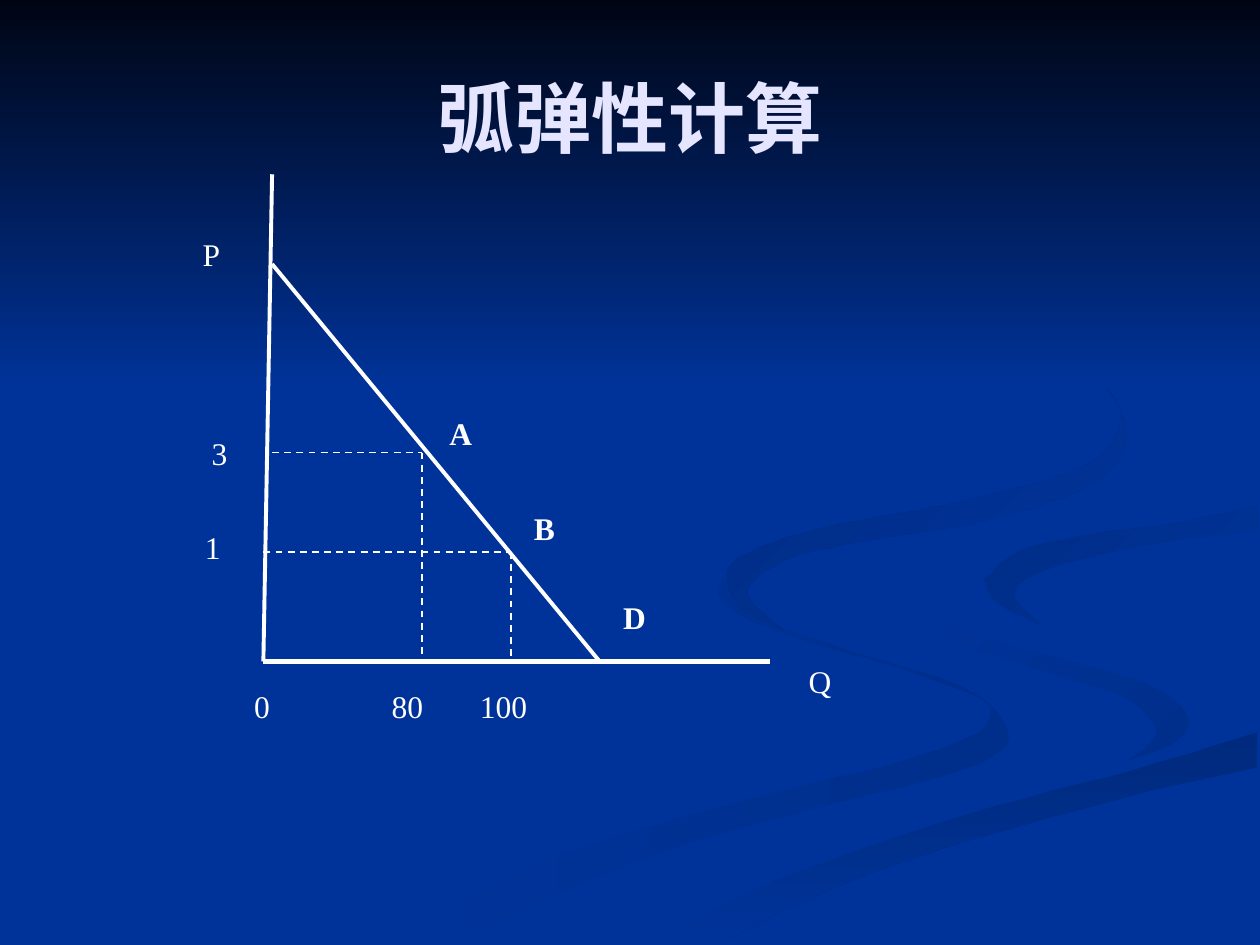
from itertools import pairwise
from lxml.etree import SubElement
from pptx import Presentation
from pptx.dml.color import RGBColor
from pptx.enum.dml import MSO_LINE as Dash
from pptx.enum.shapes import MSO_CONNECTOR as Conn, MSO_SHAPE as Kind
from pptx.enum.text import MSO_ANCHOR as Anchor, MSO_AUTO_SIZE as Fit, PP_ALIGN as Align
from pptx.oxml.ns import qn
from pptx.util import Pt

WIDE, HIGH = 720, 540
FONT = "Times New Roman"
BLUE, WHITE, LILAC, NIGHT = "003399", "FFFFFF", "E5E5FF", "000514"
GRID = 0.72
STEPS = 6

CREST = [(724, 464), (733, 483), (792, 509), (870, 530), (919, 547), (943, 570)]
BANK = [(998, 581), (903, 610), (765, 647), (630, 693), (543, 733), (503, 749)]
SHORE = [(998, 402), (933, 415), (865, 424), (810, 437), (781, 460)]

BROOK = [
    [(575, 459), (570, 472), (593, 491), (654, 513), (714, 530), (776, 553), (786, 566),
     (774, 583), (714, 605), (616, 629), (499, 661), (417, 690), (300, 749)],
    [(361, 749), (431, 714), (532, 674), (651, 640), (740, 618), (786, 601), (800, 581),
     (767, 547), (682, 519), (614, 496), (583, 477), (575, 459)],
]
BEND = [
    CREST + [(932, 589), (894, 605)],
    [(894, 605), (918, 581), (892, 553), (838, 536), (766, 512), (733, 488), (724, 464)],
]
ROAD = [BANK, [(571, 749), (649, 710), (752, 672), (903, 630), (998, 609)]]
FIELD = [
    CREST + [(926, 593), (813, 625), (663, 668), (573, 703), (477, 749)],
    BANK[::-1],
    [(998, 538), (866, 509), (804, 485), (781, 460)],
    SHORE[::-1],
    [(998, 387), (874, 408), (755, 432), (724, 464)],
]
COVE = [
    SHORE,
    [(781, 460), (791, 478), (826, 496)],
    [(826, 496), (805, 472), (828, 453), (896, 435), (998, 420)],
]
TRAIL = [
    [(762, 233), (826, 266), (876, 306), (889, 335), (861, 370), (763, 398), (649, 420),
     (589, 441), (577, 462), (590, 484), (622, 500)],
    [(622, 500), (593, 470), (624, 444), (683, 430), (786, 412), (867, 384), (894, 344),
     (864, 291), (799, 250), (762, 233)],
]


def tint(code):
    """Turn a hex string into a colour."""
    return RGBColor.from_string(code)


def blend(a, b, c, d, t):
    """Give the Catmull-Rom value between b and c at t."""
    return b + t * (c - a + t * (2 * a - 5 * b + 4 * c - d + t * (3 * (b - c) + d - a))) / 2


def smooth(knots):
    """Run a curve through the knots of one edge."""
    ends = [knots[0], *knots, knots[-1]]
    curve = [
        tuple(blend(*axis, step / STEPS) for axis in zip(*ends[i:i + 4]))
        for i in range(len(knots) - 1)
        for step in range(STEPS)
    ]
    return curve + [knots[-1]]


def paint(shape, first, last, angle):
    """Fill a shape plainly or with a gradient turned clockwise."""
    shape.shadow.inherit = False
    shape.line.fill.background()
    fill = shape.fill
    if first == last:
        fill.solid()
        fill.fore_color.rgb = tint(first)
        return
    fill.gradient()
    fill.gradient_angle = (360 - angle) % 360
    for spot, (stop, code) in enumerate(zip(fill.gradient_stops, (first, last))):
        stop.color.rgb = tint(code)
        stop.position = spot


def add_ribbon(slide, edges, first, last, angle=45):
    """Join smooth edges into one closed ribbon."""
    dots = [dot for edge in edges for dot in smooth(edge)]
    pen = slide.shapes.build_freeform(*dots[0], scale=Pt(GRID))
    pen.add_line_segments(dots[1:], close=True)
    paint(pen.convert_to_shape(), first, last, angle)


def add_decor(slide):
    """Draw the ribbons and the dark sky above them."""
    add_ribbon(slide, BROOK, BLUE, "002E8B", 0)
    add_ribbon(slide, BEND, BLUE, "002E8B")
    add_ribbon(slide, ROAD, "002A7D", BLUE, 90)
    add_ribbon(slide, FIELD, BLUE, BLUE)
    add_ribbon(slide, COVE, "002D86", BLUE)
    add_ribbon(slide, TRAIL, "002B82", BLUE)
    sky = slide.shapes.add_shape(Kind.RECTANGLE, 0, 0, Pt(WIDE), Pt(221.8))
    paint(sky, NIGHT, BLUE, 90)


def add_run(para, text, size, code, bold):
    """Add one formatted run to a paragraph."""
    run = para.add_run()
    run.text = text
    font = run.font
    font.name, font.size, font.bold = FONT, Pt(size), bold
    font.color.rgb = tint(code)


def set_title(slide, text):
    """Place the title in front of the sky and fill it."""
    title = slide.shapes.title
    slide.shapes.element.append(title.element)
    title.left, title.top, title.width, title.height = map(Pt, (36, 21.6, 648, 90))
    frame = title.text_frame
    frame.vertical_anchor = Anchor.MIDDLE
    para = frame.paragraphs[0]
    para.alignment = Align.CENTER
    add_run(para, text, 44, LILAC, True)


def add_line(slide, start, end, width, dash=None):
    """Draw a straight white line between two points."""
    line = slide.shapes.add_connector(Conn.STRAIGHT, *map(Pt, start + end))
    line.line.color.rgb = tint(WHITE)
    line.line.width = Pt(width)
    if dash:
        line.line.dash_style = dash
    SubElement(line.element.spPr, qn("a:effectLst"))


def add_label(slide, text, left, top, width, bold=False):
    """Add a short label that fits its text."""
    box = slide.shapes.add_textbox(*map(Pt, (left, top, width, 28.8)))
    frame = box.text_frame
    frame.word_wrap = False
    frame.auto_size = Fit.SHAPE_TO_FIT_TEXT
    add_run(frame.paragraphs[0], text, 18, WHITE, bold)


def add_graph(slide):
    """Draw the axes, the demand line and the guides of points A and B."""
    left, base = 150.5, 378
    inner = 155.5
    zero = (left, base)
    add_line(slide, (inner, 99.6), zero, 2.25)
    add_line(slide, zero, (439.8, base), 3)
    add_line(slide, (inner, 150.9), (342.7, base), 2.25)
    for start, x, y in ((inner, 241.1, 258.6), (left, 292, 315.4)):
        stops = [(start, y), (x, y), (x, base)]
        for pair in pairwise(stops):
            add_line(slide, *pair, 1, Dash.DASH)


def add_labels(slide):
    """Name the axes, their values and the points of the line."""
    add_label(slide, "Q", 455, 374.7, 27.4)
    add_label(slide, "P", 108.7, 131, 25.2)
    for text, left, top in (("D", 349, 338), ("A", 249.8, 232.9), ("B", 298, 287.3)):
        add_label(slide, text, left, top, 28, True)
    for text, left, top in (("3", 113.8, 244.4), ("1", 110, 298.4)):
        add_label(slide, text, left, top, 24.5)
    for text, left in (("80", 216.7), ("100", 267.1), ("0", 138.2)):
        add_label(slide, text, left, 388.8, 14.4 + 10 * len(text))


def main():
    """Build and save the slide."""
    deck = Presentation()
    deck.slide_width, deck.slide_height = Pt(WIDE), Pt(HIGH)
    slide = deck.slides.add_slide(deck.slide_layouts[5])
    back = slide.background.fill
    back.solid()
    back.fore_color.rgb = tint(BLUE)
    add_decor(slide)
    set_title(slide, "弧弹性计算")
    add_graph(slide)
    add_labels(slide)
    deck.save("out.pptx")


if __name__ == "__main__":
    main()
